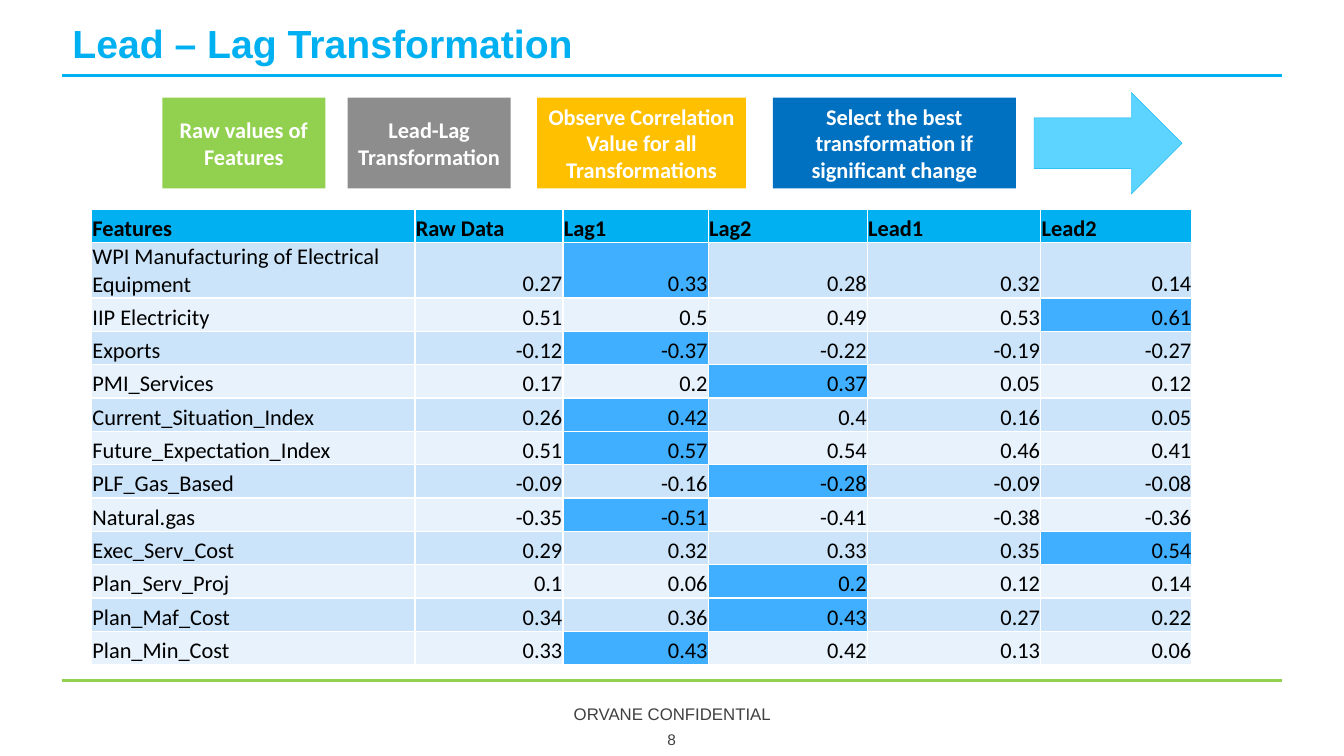
from lxml import etree
from pptx import Presentation
from pptx import util as u
from pptx.dml.color import RGBColor
from pptx.enum import shapes, text
from pptx.oxml.ns import qn

SKY = RGBColor(0x00, 0xB0, 0xF0)
PALE_SKY = RGBColor(0x5D, 0xD4, 0xFF)
GREEN = RGBColor(0x92, 0xD0, 0x50)
GREY = RGBColor(0x8D, 0x8D, 0x8D)
AMBER = RGBColor(0xFF, 0xC0, 0x00)
BLUE = RGBColor(0x00, 0x70, 0xC0)
BEST = RGBColor(0x40, 0xAF, 0xFF)
BANDS = (RGBColor(0xCC, 0xE4, 0xF9), RGBColor(0xE7, 0xF2, 0xFC))
WHITE = RGBColor(0xFF, 0xFF, 0xFF)
BLACK = RGBColor(0x00, 0x00, 0x00)
FOOTER_GREY = RGBColor(0x40, 0x40, 0x40)

LEFT, CENTER, RIGHT = text.PP_ALIGN.LEFT, text.PP_ALIGN.CENTER, text.PP_ALIGN.RIGHT

# Steps: wording, fill, left offset and width in cm
STEPS = [
    ("Raw values of Features", GREEN, 0, 4.11),
    ("Lead-Lag Transformation", GREY, 4.67, 4.11),
    ("Observe Correlation Value for all Transformations", AMBER, 9.45, 5.26),
    ("Select the best transformation if significant change", BLUE, 15.39, 6.12),
]

HEADINGS = ["Features", "Raw Data", "Lag1", "Lag2", "Lead1", "Lead2"]
COLUMN_WIDTHS = [8.15, 3.73, 3.66, 4.01, 4.37, 3.81]
CORRELATIONS = [
    ("WPI Manufacturing of Electrical Equipment", 0.27, 0.33, 0.28, 0.32, 0.14),
    ("IIP Electricity", 0.51, 0.5, 0.49, 0.53, 0.61),
    ("Exports", -0.12, -0.37, -0.22, -0.19, -0.27),
    ("PMI_Services", 0.17, 0.2, 0.37, 0.05, 0.12),
    ("Current_Situation_Index", 0.26, 0.42, 0.4, 0.16, 0.05),
    ("Future_Expectation_Index", 0.51, 0.57, 0.54, 0.46, 0.41),
    ("PLF_Gas_Based", -0.09, -0.16, -0.28, -0.09, -0.08),
    ("Natural.gas", -0.35, -0.51, -0.41, -0.38, -0.36),
    ("Exec_Serv_Cost", 0.29, 0.32, 0.33, 0.35, 0.54),
    ("Plan_Serv_Proj", 0.1, 0.06, 0.2, 0.12, 0.14),
    ("Plan_Maf_Cost", 0.34, 0.36, 0.43, 0.27, 0.22),
    ("Plan_Min_Cost", 0.33, 0.43, 0.42, 0.13, 0.06),
]


def write(frame, wording, size=16, font="Calibri", color=BLACK, bold=False,
          align=LEFT, spacing=None):
    paragraph = frame.paragraphs[0]
    paragraph.alignment = align
    paragraph.line_spacing = spacing
    run = paragraph.add_run()
    run.text = wording
    run.font.size = u.Pt(size)
    run.font.name = font
    run.font.bold = bold
    run.font.color.rgb = color


def add_rule(slide, left, top, width, color):
    rule = slide.shapes.add_connector(
        shapes.MSO_CONNECTOR.STRAIGHT,
        u.Cm(left), u.Cm(top), u.Cm(left + width), u.Cm(top))
    rule.line.color.rgb = color
    rule.line.width = u.Pt(2.25)
    etree.SubElement(rule.element.spPr, qn("a:effectLst"))


def add_block(slide, preset, left, top, width, height, fill):
    block = slide.shapes.add_shape(
        preset, u.Cm(left), u.Cm(top), u.Cm(width), u.Cm(height))
    block.shadow.inherit = False
    block.fill.solid()
    block.fill.fore_color.rgb = fill
    block.line.fill.background()
    return block


def add_heading(slide, left, top, width, height):
    heading = slide.shapes.title
    heading.left, heading.top = u.Cm(left), u.Cm(top)
    heading.width, heading.height = u.Cm(width), u.Cm(height)
    frame = heading.text_frame
    frame.auto_size = text.MSO_AUTO_SIZE.NONE
    frame.vertical_anchor = text.MSO_ANCHOR.BOTTOM
    write(frame, "Lead – Lag Transformation", size=28, font="Arial",
          color=SKY, bold=True, spacing=0.9)


def add_footer_line(slide, wording, size, left, top, width, height):
    footer = slide.shapes.add_textbox(
        u.Cm(left), u.Cm(top), u.Cm(width), u.Cm(height))
    frame = footer.text_frame
    frame.word_wrap = True
    frame.vertical_anchor = text.MSO_ANCHOR.MIDDLE
    write(frame, wording, size=size, font="Arial", color=FOOTER_GREY, align=CENTER)


def add_process(slide, left, top, height):
    for wording, fill, offset, width in STEPS:
        step = add_block(slide, shapes.MSO_SHAPE.RECTANGLE,
                         left + offset, top, width, height, fill)
        frame = step.text_frame
        frame.word_wrap = True
        frame.margin_left = frame.margin_right = u.Cm(0.2)
        frame.vertical_anchor = text.MSO_ANCHOR.MIDDLE
        write(frame, wording, color=WHITE, bold=True, align=CENTER)

    # The arrow stands slightly taller than the steps
    arrow = add_block(slide, shapes.MSO_SHAPE.RIGHT_ARROW, left + 21.97,
                      top - 0.13, 3.73, height + 0.27, PALE_SKY)
    arrow.line.color.rgb = SKY
    arrow.line.width = u.Pt(0.25)


def fill_cell(cell, wording, fill, **text_format):
    cell.fill.solid()
    cell.fill.fore_color.rgb = fill
    cell.margin_left = cell.margin_right = cell.margin_top = u.Cm(0.02)
    cell.margin_bottom = 0
    cell.vertical_anchor = text.MSO_ANCHOR.BOTTOM
    write(cell.text_frame, wording, **text_format)


def add_correlation_table(slide, left, top, row_height, wrapped_row_height):
    row_count = len(CORRELATIONS) + 1
    correlations = slide.shapes.add_table(
        row_count, len(HEADINGS), u.Cm(left), u.Cm(top),
        u.Cm(sum(COLUMN_WIDTHS)), u.Cm(row_height * row_count)).table
    for column, width in zip(correlations.columns, COLUMN_WIDTHS):
        column.width = u.Cm(width)
    for row in correlations.rows:
        row.height = u.Cm(row_height)
    correlations.rows[1].height = u.Cm(wrapped_row_height)

    for col, heading in enumerate(HEADINGS):
        fill_cell(correlations.cell(0, col), heading, SKY, bold=True)

    # The strongest correlation of each feature is highlighted
    for row, (feature, *values) in enumerate(CORRELATIONS, start=1):
        band = BANDS[(row - 1) % 2]
        strongest = max(values, key=abs)
        fill_cell(correlations.cell(row, 0), feature, band)
        for col, value in enumerate(values, start=1):
            fill = BEST if value == strongest else band
            fill_cell(correlations.cell(row, col), f"{value:g}", fill, align=RIGHT)


def main():
    deck = Presentation()
    deck.slide_width, deck.slide_height = u.Cm(33.87), u.Cm(19.05)
    slide = deck.slides.add_slide(deck.slide_layouts[5])

    # Frame of the slide
    add_rule(slide, 1.57, 17.15, 30.74, GREEN)
    add_rule(slide, 1.57, 1.9, 30.74, SKY)
    add_heading(slide, 1.57, 0.3, 29.82, 1.52)
    add_footer_line(slide, "ORVANE CONFIDENTIAL", 12, 11.23, 17.6, 11.43, 0.76)
    add_footer_line(slide, "8", 11, 15.54, 18.31, 2.77, 0.64)

    # Content
    add_process(slide, 4.09, 2.46, 2.29)
    add_correlation_table(slide, 2.31, 5.28, 0.84, 1.39)

    deck.save("out.pptx")


if __name__ == "__main__":
    main()
